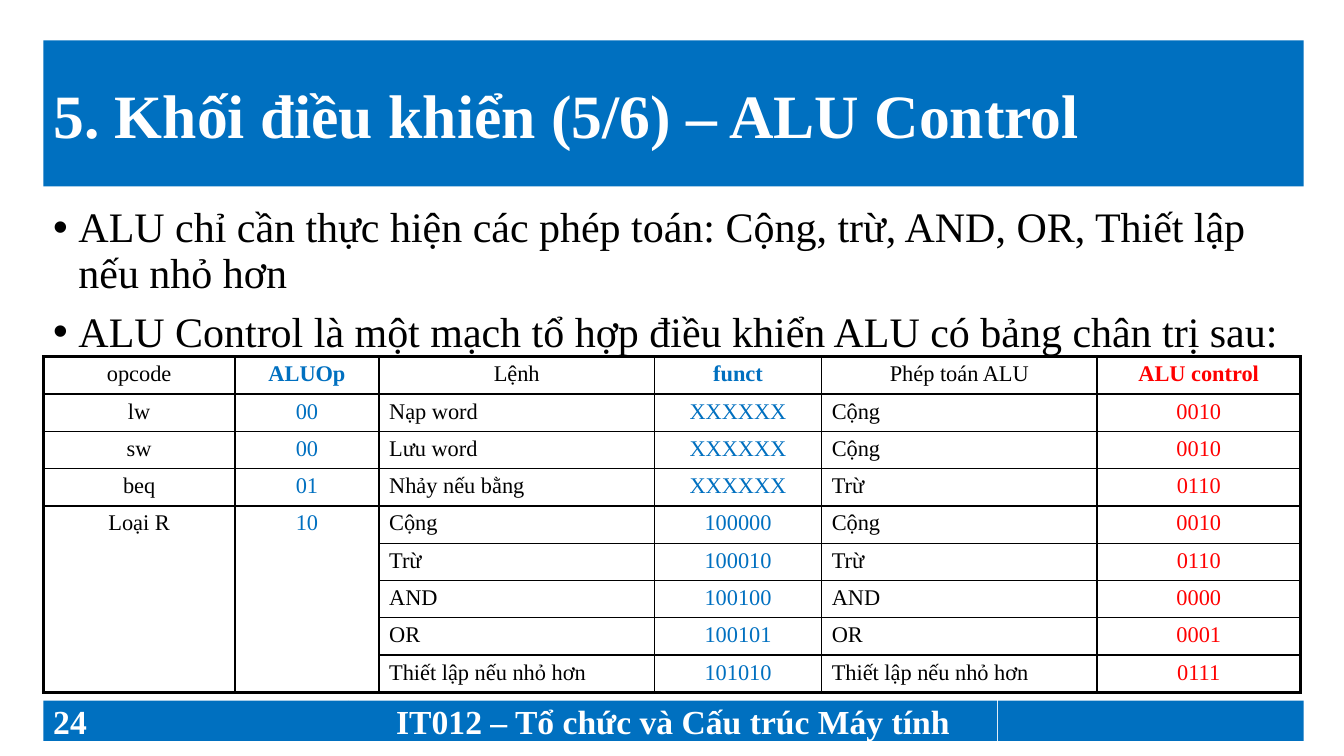
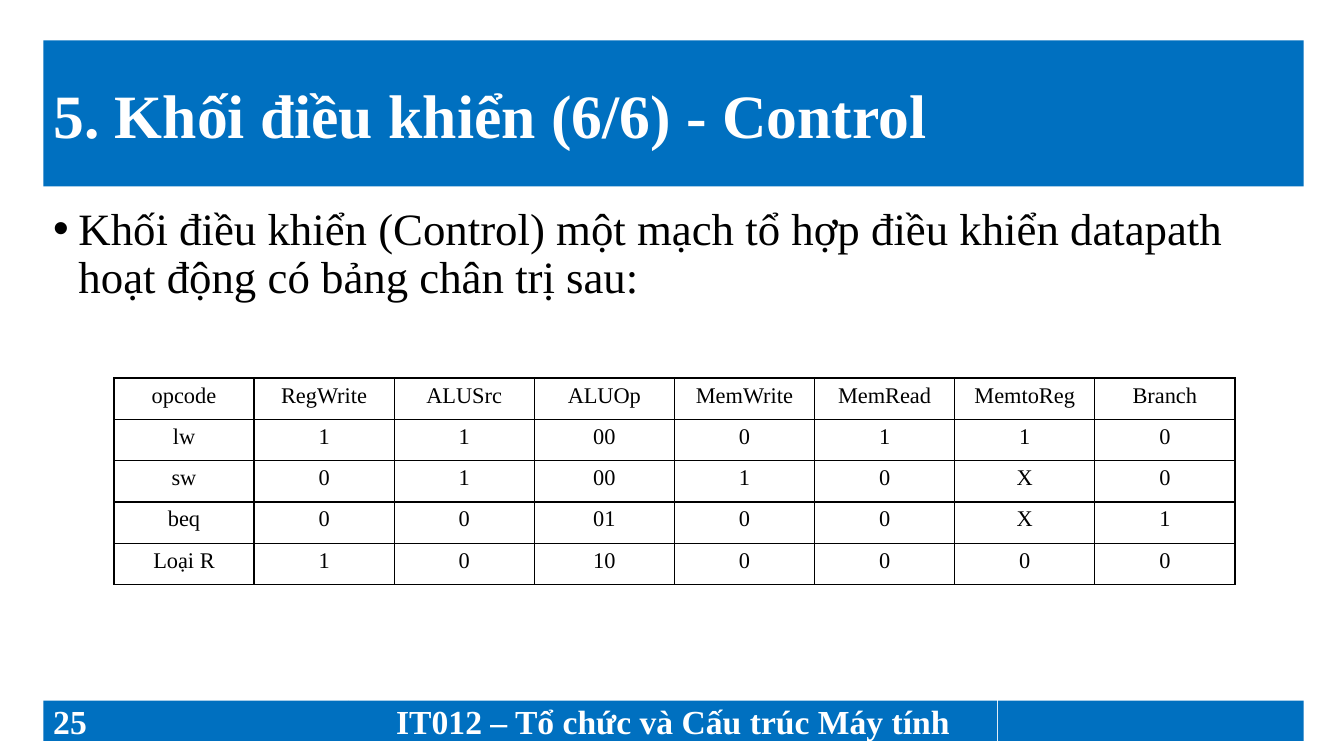
from lxml.etree import SubElement
from pptx import Presentation
from pptx.dml.color import RGBColor
from pptx.enum.shapes import MSO_SHAPE
from pptx.enum.text import MSO_ANCHOR, PP_ALIGN
from pptx.oxml.ns import qn
from pptx.util import Emu, Pt

PX = 9144  # 100 px to the inch
COLORS = {"blue": "0070C0", "white": "FFFFFF", "black": "000000", "red": "FF0000"}
FONT = "Times New Roman"
COURSE = "IT012 – Tổ chức và Cấu trúc Máy tính"

# Shared frame
LEFT, WIDTH = 43, 1250
TITLE_TOP, TITLE_H = 40, 145
BODY_TOP, BODY_H = 200, 476
FOOTER_TOP, FOOTER_H = 695, 40

# Text styles
TITLE = {"size": Pt(44), "bold": True, "color": "white"}
FOOTER = {"size": Pt(24), "bold": True, "color": "white"}
CELL = {"size": Pt(16), "bold": False, "color": "black"}

ALU_WIDTHS = [190, 143, 273, 166, 273, 202]
ALU_COLORS = ["black", "blue", "black", "blue", "black", "red"]
ALU_ROWS = [
    ["opcode", "ALUOp", "Lệnh", "funct", "Phép toán ALU", "ALU control"],
    ["lw", "00", "Nạp word", "XXXXXX", "Cộng", "0010"],
    ["sw", "00", "Lưu word", "XXXXXX", "Cộng", "0010"],
    ["beq", "01", "Nhảy nếu bằng", "XXXXXX", "Trừ", "0110"],
    ["Loại R", "10", "Cộng", "100000", "Cộng", "0010"],
    ["", "", "Trừ", "100010", "Trừ", "0110"],
    ["", "", "AND", "100100", "AND", "0000"],
    ["", "", "OR", "100101", "OR", "0001"],
    ["", "", "Thiết lập nếu nhỏ hơn", "101010", "Thiết lập nếu nhỏ hơn", "0111"],
]
CONTROL_ROWS = [
    ["opcode", "RegWrite", "ALUSrc", "ALUOp", "MemWrite", "MemRead", "MemtoReg", "Branch"],
    ["lw", "1", "1", "00", "0", "1", "1", "0"],
    ["sw", "0", "1", "00", "1", "0", "X", "0"],
    ["beq", "0", "0", "01", "0", "0", "X", "1"],
    ["Loại R", "1", "0", "10", "0", "0", "0", "0"],
]


def px(*lengths):
    return [Emu(n * PX) for n in lengths]


def rgb(name):
    return RGBColor.from_string(COLORS[name])


def write(p, text, style, align=PP_ALIGN.LEFT):
    p.alignment = align
    r = p.add_run()
    r.text = text
    r.font.name = FONT
    r.font.color.rgb = rgb(style["color"])
    for name in ("size", "bold"):
        setattr(r.font, name, style[name])


def add_band(s, box, text="", style=FOOTER, align=PP_ALIGN.LEFT):
    sp = s.shapes.add_shape(MSO_SHAPE.RECTANGLE, *px(*box))
    sp.shadow.inherit = False
    sp.fill.solid()
    sp.fill.fore_color.rgb = rgb("blue")
    sp.line.fill.background()
    tf = sp.text_frame
    tf.word_wrap = True
    tf.vertical_anchor = MSO_ANCHOR.MIDDLE
    if text:
        write(tf.paragraphs[0], text, style, align)


def add_frame(prs, title, number):
    """New slide with the title band and the three footer bands."""
    s = prs.slides.add_slide(prs.slide_layouts[6])
    add_band(s, (LEFT, TITLE_TOP, WIDTH, TITLE_H), title, TITLE)
    for left, width, text, align in (
        (LEFT, 303, str(number), PP_ALIGN.LEFT),
        (346, 643, COURSE, PP_ALIGN.CENTER),
        (990, 303, "", PP_ALIGN.LEFT),
    ):
        add_band(s, (left, FOOTER_TOP, width, FOOTER_H), text, align=align)
    return s


def add_bullets(s, items, size):
    tf = s.shapes.add_textbox(*px(LEFT, BODY_TOP, WIDTH, BODY_H)).text_frame
    tf.word_wrap = True
    for i, item in enumerate(items):
        p = tf.add_paragraph() if i else tf.paragraphs[0]
        write(p, item, {"size": Pt(size), "bold": False, "color": "black"})
        p.line_spacing = 0.9
        p.space_before = Pt(10)
        pPr = p._p.get_or_add_pPr()
        pPr.set("marL", str(25 * PX))
        pPr.set("indent", str(-25 * PX))
        SubElement(pPr, qn("a:buFont"), typeface="Arial")
        SubElement(pPr, qn("a:buChar"), char="•")


def set_borders(cell, widths):
    """Border widths in points, keyed L, R, T, B in that order."""
    tcPr = cell._tc.get_or_add_tcPr()
    for side, width in widths.items():
        ln = SubElement(tcPr, qn(f"a:ln{side}"), w=str(Pt(width)))
        fill = SubElement(ln, qn("a:solidFill"))
        SubElement(fill, qn("a:srgbClr"), val=COLORS["black"])


def add_grid(s, left, top, widths, row_h, rows, colors=None, left_cols=(),
             merges=(), outer=1, rule=1):
    """Table with an outer border and a rule under the header, in points."""
    n_rows, n_cols = len(rows), len(widths)
    box = px(left, top, sum(widths), row_h * n_rows)
    tbl = s.shapes.add_table(n_rows, n_cols, *box).table
    tbl.first_row = tbl.horz_banding = False
    for col, width in zip(tbl.columns, widths):
        col.width = Emu(width * PX)
    for row in tbl.rows:
        row.height = Emu(row_h * PX)
    for (r1, c1), (r2, c2) in merges:
        tbl.cell(r1, c1).merge(tbl.cell(r2, c2))

    for i, row in enumerate(rows):
        for j, text in enumerate(row):
            cell = tbl.cell(i, j)
            end = i + (cell.span_height if cell.is_merge_origin else 1)
            set_borders(cell, {
                "L": outer if j == 0 else 1,
                "R": outer if j == n_cols - 1 else 1,
                "T": outer if i == 0 else rule if i == 1 else 1,
                "B": outer if end == n_rows else rule if i == 0 else 1,
            })
            cell.fill.background()
            if text:
                color = colors[j] if colors else "black"
                style = {**CELL, "color": color, "bold": i == 0 and color != "black"}
                is_left = i > 0 and j in left_cols
                write(cell.text_frame.paragraphs[0], text, style,
                      PP_ALIGN.LEFT if is_left else PP_ALIGN.CENTER)


def main():
    prs = Presentation()
    prs.slide_width, prs.slide_height = px(1333, 750)

    # ALU control truth table
    s = add_frame(prs, "5. Khối điều khiển (5/6) – ALU Control", 24)
    add_bullets(s, [
        "ALU chỉ cần thực hiện các phép toán: Cộng, trừ, AND, OR, Thiết lập nếu nhỏ hơn",
        "ALU Control là một mạch tổ hợp điều khiển ALU có bảng chân trị sau:",
    ], 30)
    add_grid(s, LEFT, 354, ALU_WIDTHS, 37, ALU_ROWS, ALU_COLORS, left_cols=(2, 4),
             merges=[((4, j), (8, j)) for j in (0, 1)], outer=2.25, rule=1.5)

    # Main control truth table
    s = add_frame(prs, "5. Khối điều khiển (6/6) - Control", 25)
    add_bullets(s, [
        "Khối điều khiển (Control) một mạch tổ hợp điều khiển datapath "
        "hoạt động có bảng chân trị sau:",
    ], 32)
    add_grid(s, 113, 375, [139] * 8, 41, CONTROL_ROWS)

    prs.save("out.pptx")


if __name__ == "__main__":
    main()
